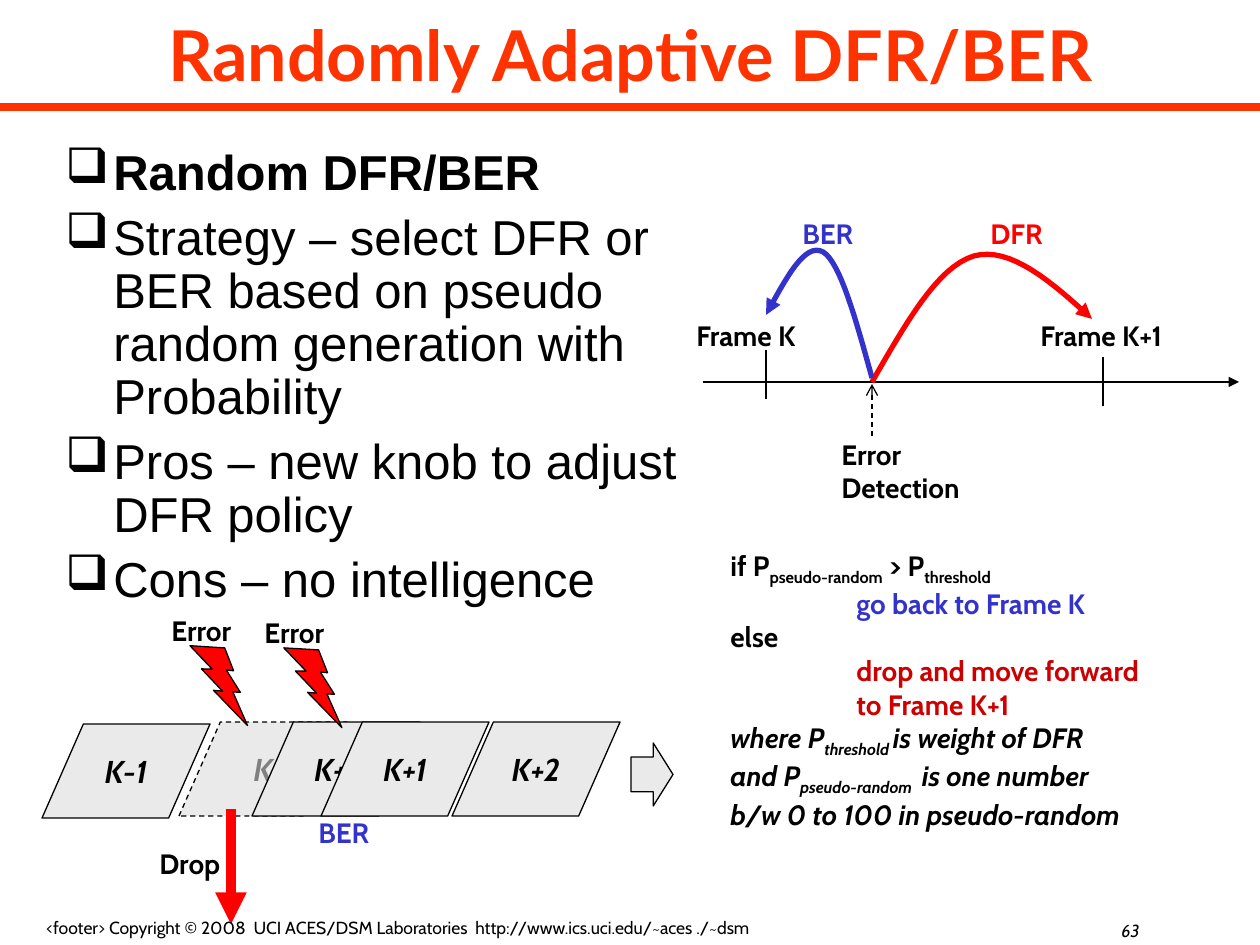
"""Build the slide on randomly adaptive DFR/BER."""
from lxml.etree import SubElement
from pptx import Presentation
from pptx.dml.color import RGBColor
from pptx.enum.dml import MSO_LINE
from pptx.enum.shapes import MSO_CONNECTOR, MSO_SHAPE
from pptx.enum.text import MSO_ANCHOR, MSO_AUTO_SIZE, PP_ALIGN
from pptx.oxml.ns import qn
from pptx.util import Pt

SCALE = 914400 / 126


class Theme:
    orange, black, grey = "FF3300", "000000", "808080"
    red, blue, crimson, pale = "FF0000", "3333CC", "CC0000", "EAEAEA"
    head, body, label = "Lato", "Arial", "Cabin"
    title, bullet, frame, note, foot = 40, 28, 18, 16, 10
    thin, curve, drop, rule = 0.75, 3, 6, 4.5


def emu(*vals):
    return [round(v * SCALE) for v in vals]


def pen(line, color, width, tip=None, dash=False):
    line.color.rgb = RGBColor.from_string(color)
    line.width = Pt(width)
    if dash:
        line.dash_style = MSO_LINE.DASH
    if tip:
        SubElement(line._ln, qn("a:tailEnd"), type=tip)


deck = Presentation()
deck.slide_width, deck.slide_height = emu(1260, 945)
slide = deck.slides.add_slide(deck.slide_layouts[6])
shapes = slide.shapes

lines = [
    (0, 107, 1260, 107, Theme.orange, Theme.rule, None, False),
    (703, 382, 1239, 382, Theme.black, Theme.thin, "triangle", False),
    (766, 350, 766, 399, Theme.black, Theme.thin, None, False),
    (1103, 357, 1103, 406, Theme.black, Theme.thin, None, False),
    (872, 436, 872, 384, Theme.black, Theme.thin, "arrow", True),
]
frames = [
    (42, 724, "K-1", Theme.black),
    (179, 722, "K", Theme.grey),
    (252, 722, "K+1", Theme.black),
    (452, 722, "K+2", Theme.black),
    (321, 722, "K+1", Theme.black),
]
for x, y, name, color in frames:
    box = shapes.add_shape(MSO_SHAPE.PARALLELOGRAM, *emu(x, y, 168, 94))
    box.adjustments[0] = 0.44
    box.shadow.inherit = False
    box.fill.solid()
    box.fill.fore_color.rgb = RGBColor.from_string(Theme.pale)
    pen(box.line, Theme.black, Theme.thin, dash=name == "K")
    box.text_frame.word_wrap = False
    box.text_frame.vertical_anchor = MSO_ANCHOR.MIDDLE
    para = box.text_frame.paragraphs[0]
    para.alignment = PP_ALIGN.CENTER
    run = para.add_run()
    run.text = name
    font = run.font
    font.name, font.size = Theme.label, Pt(Theme.frame)
    font.bold = font.italic = True
    font.color.rgb = RGBColor.from_string(color)

marks = [
    (MSO_SHAPE.LIGHTNING_BOLT, 179, 649, 84, 63, 22.6, Theme.red),
    (MSO_SHAPE.LIGHTNING_BOLT, 273, 651, 84, 63, 22.3, Theme.red),
    (MSO_SHAPE.RIGHT_ARROW, 631, 743, 42, 63, 0, Theme.pale),
]
for kind, x, y, w, h, turn, color in marks:
    mark = shapes.add_shape(kind, *emu(x, y, w, h))
    mark.rotation = turn
    mark.shadow.inherit = False
    mark.fill.solid()
    mark.fill.fore_color.rgb = RGBColor.from_string(color)
    pen(mark.line, Theme.black, Theme.thin)
    if kind == MSO_SHAPE.RIGHT_ARROW:
        mark.adjustments[0], mark.adjustments[1] = 0.55, 0.47

lines.append((231, 809, 231, 924, Theme.red, Theme.drop, "triangle", False))
for x, y, end, base, color, width, tip, dash in lines:
    link = shapes.add_connector(MSO_CONNECTOR.STRAIGHT, *emu(x, y, end, base))
    pen(link.line, color, width, tip, dash)
    SubElement(link._element.spPr, qn("a:effectLst"))

arcs = [
    (Theme.red, [(872, 382), (905, 325), (937, 267), (974, 256),
                 (1010, 246), (1052, 282), (1092, 319)]),
    (Theme.blue, [(872, 378), (856, 320), (840, 262), (823, 252),
                  (805, 242), (786, 278), (766, 315)]),
]
STEPS = 16
for color, knots in arcs:
    dots = []
    for first in (0, 3):
        for step in range(1, STEPS + 1):
            t = step / STEPS
            mix = ((1 - t) ** 3, 3 * t * (1 - t) ** 2, 3 * t * t * (1 - t), t ** 3)
            part = knots[first:first + 4]
            dots.append(emu(*(sum(m * k[axis] for m, k in zip(mix, part))
                              for axis in (0, 1))))
    path = shapes.build_freeform(*emu(*knots[0]))
    path.add_line_segments(dots, close=False)
    arc = path.convert_to_shape()
    arc.shadow.inherit = False
    arc.fill.background()
    pen(arc.line, color, Theme.curve, "triangle")

labels = [
    (829, 431, 161, 81, ["Error", "Detection"], Theme.black),
    (684, 312, 140, 47, ["Frame K"], Theme.black),
    (1028, 312, 171, 47, ["Frame K+1"], Theme.black),
    (978, 210, 79, 47, ["DFR"], Theme.red),
    (790, 210, 78, 47, ["BER"], Theme.blue),
    (159, 607, 96, 47, ["Error"], Theme.black),
    (252, 609, 96, 47, ["Error"], Theme.black),
    (147, 840, 93, 47, ["Drop"], Theme.black),
    (306, 809, 78, 47, ["BER"], Theme.blue),
]
rules = [
    (0, Theme.black, False, [("if P", 0), ("pseudo-random", 1), (" > P", 0), ("threshold", 1)]),
    (126, Theme.blue, False, [("go back to Frame K", 0)]),
    (0, Theme.black, False, [("else", 0)]),
    (126, Theme.crimson, False, [("drop and move forward", 0)]),
    (126, Theme.crimson, False, [("to Frame K+1", 0)]),
    (0, Theme.black, True, [("where P", 0), ("threshold ", 1), ("is weight of DFR", 0)]),
    (0, Theme.black, True, [("and P", 0), ("pseudo-random ", 1), (" is one number", 0)]),
    (0, Theme.black, True, [("b/w 0 to 100 in pseudo-random", 0)]),
]
notes = [(x, y, w, h, [(0, color, False, [(row, 0)]) for row in rows])
         for x, y, w, h, rows, color in labels]
notes.append((718, 542, 488, 295, rules))
for x, y, w, h, rows in notes:
    text = shapes.add_textbox(*emu(x, y, w, h)).text_frame
    text.word_wrap = False
    text.auto_size = MSO_AUTO_SIZE.SHAPE_TO_FIT_TEXT
    for at, (dent, color, slant, runs) in enumerate(rows):
        para = text.add_paragraph() if at else text.paragraphs[0]
        if dent:
            para._p.get_or_add_pPr().set("marL", str(emu(dent)[0]))
        for words, sub in runs:
            run = para.add_run()
            run.text = words
            font = run.font
            font.name, font.size = Theme.label, Pt(Theme.note)
            font.bold, font.italic = True, slant
            font.color.rgb = RGBColor.from_string(color)
            if sub:
                font._element.set("baseline", "-25000")

points = ["Random DFR/BER",
          "Strategy – select DFR or BER based on pseudo random generation with Probability",
          "Pros – new knob to adjust DFR policy",
          "Cons – no intelligence"]
blocks = [
    (0, 0, 1260, 106, ["Randomly Adaptive DFR/BER"], Theme.head, Theme.title,
     Theme.orange, PP_ALIGN.CENTER),
    (53, 142, 655, 357, points, Theme.body, Theme.bullet, Theme.black, PP_ALIGN.LEFT),
    (0, 911, 795, 34, ["<footer> Copyright © 2008  UCI ACES/DSM Laboratories  "
                       "http://www.ics.uci.edu/~aces ./~dsm"],
     Theme.label, Theme.foot, Theme.black, PP_ALIGN.CENTER),
    (838, 914, 314, 36, ["63"], Theme.label, Theme.foot, Theme.black, PP_ALIGN.RIGHT),
]
for x, y, w, h, rows, face, size, color, align in blocks:
    text = shapes.add_textbox(*emu(x, y, w, h)).text_frame
    text.word_wrap = True
    if size == Theme.title:
        text.vertical_anchor = MSO_ANCHOR.MIDDLE
    for at, row in enumerate(rows):
        para = text.add_paragraph() if at else text.paragraphs[0]
        para.alignment = align
        if rows is points:
            para.line_spacing = 0.9
            para.space_before = Pt(7 if at else 0)
            props = para._p.get_or_add_pPr()
            props.set("marL", str(emu(48)[0]))
            props.set("indent", str(emu(-48)[0]))
            SubElement(props, qn("a:buChar"), char="❑")
        run = para.add_run()
        run.text = row
        font = run.font
        font.name, font.size = face, Pt(size)
        font.bold = size == Theme.title or row == points[0]
        font.italic = align == PP_ALIGN.RIGHT
        font.color.rgb = RGBColor.from_string(color)

deck.save("out.pptx")
